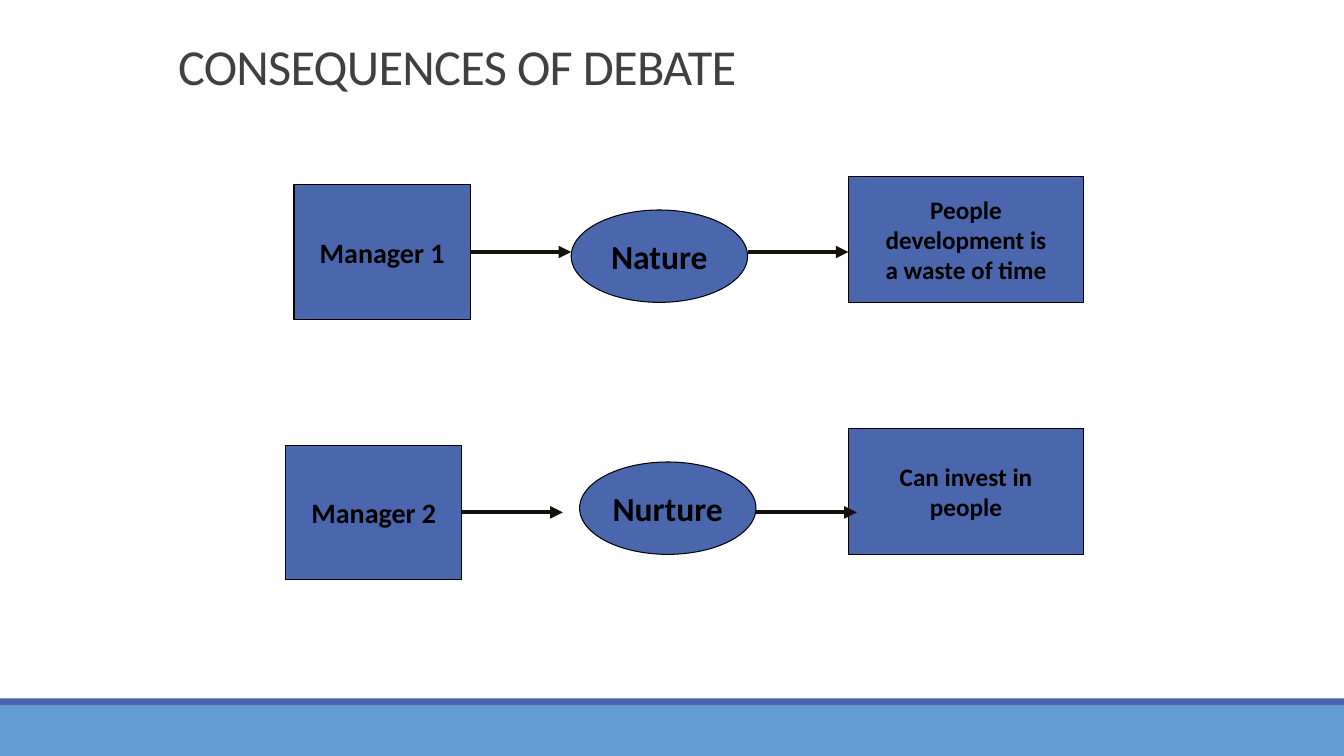
from typing import NamedTuple

from lxml.etree import SubElement
from pptx import Presentation
from pptx.dml.color import RGBColor
from pptx.enum.shapes import MSO_CONNECTOR, MSO_SHAPE
from pptx.enum.text import MSO_ANCHOR, MSO_AUTO_SIZE, PP_ALIGN
from pptx.oxml.ns import qn
from pptx.util import Pt

EMU_PER_PX = 9525
BLUE = "4A66AC"
LIGHT_BLUE = "629DD1"
BLACK = "000000"
ARROW_COLOUR = "17110B"
TITLE_COLOUR = "404040"


class Box(NamedTuple):
    left: int
    top: int
    width: int
    height: int


class Node(NamedTuple):
    text: str
    box: Box
    size: int
    kind: MSO_SHAPE = MSO_SHAPE.RECTANGLE


class Argument(NamedTuple):
    manager: Node
    belief: Node
    outcome: Node
    arrow_y: int


ARROW_LENGTH = 96
ARGUMENTS = [
    Argument(
        Node("Manager 1", Box(280, 176, 168, 128), 20),
        Node("Nature", Box(544, 200, 168, 88), 24, MSO_SHAPE.OVAL),
        Node("People\ndevelopment is\na waste of time", Box(808, 168, 224, 120), 18),
        240,
    ),
    Argument(
        Node("Manager 2", Box(272, 424, 168, 128), 20),
        Node("Nurture", Box(552, 440, 168, 88), 24, MSO_SHAPE.OVAL),
        Node("Can invest in\npeople", Box(808, 408, 224, 120), 18),
        488,
    ),
]
BANDS = [(Box(0, 672, 1280, 48), LIGHT_BLUE), (Box(0, 665, 1280, 7), BLUE)]


def px(length: int) -> int:
    return length * EMU_PER_PX


def colour(value: str) -> RGBColor:
    return RGBColor.from_string(value)


def write(shape, text: str, *, size: int, color: str = BLACK, bold: bool = False,
          align=PP_ALIGN.CENTER, anchor=MSO_ANCHOR.MIDDLE, wrap: bool = False,
          line_spacing: float = 1.0) -> None:
    frame = shape.text_frame
    frame.text = text
    frame.auto_size = MSO_AUTO_SIZE.NONE
    frame.word_wrap = wrap
    frame.vertical_anchor = anchor
    for paragraph in frame.paragraphs:
        paragraph.alignment = align
        paragraph.line_spacing = line_spacing
        for run in paragraph.runs:
            run.font.name = "Calibri"
            run.font.size = Pt(size)
            run.font.bold = bold
            run.font.color.rgb = colour(color)


def add_block(slide, box: Box, fill: str, kind=MSO_SHAPE.RECTANGLE):
    block = slide.shapes.add_shape(kind, *map(px, box))
    block.shadow.inherit = False
    block.fill.solid()
    block.fill.fore_color.rgb = colour(fill)
    block.line.fill.background()
    return block


def add_node(slide, node: Node):
    block = add_block(slide, node.box, BLUE, node.kind)
    block.line.color.rgb = colour(BLACK)
    block.line.width = Pt(0.75)
    write(block, node.text, size=node.size, bold=True)
    return block


def add_arrow(slide, source: Box, y: int):
    start = source.left + source.width
    arrow = slide.shapes.add_connector(
        MSO_CONNECTOR.STRAIGHT, px(start), px(y), px(start + ARROW_LENGTH), px(y))
    arrow.line.color.rgb = colour(ARROW_COLOUR)
    arrow.line.width = Pt(3)
    SubElement(arrow.line._get_or_add_ln(), qn("a:tailEnd"), type="triangle")
    SubElement(arrow._element.spPr, qn("a:effectLst"))
    return arrow


def add_title(slide, text: str, box: Box) -> None:
    title = slide.shapes.title
    title.left, title.top, title.width, title.height = map(px, box)
    write(title, text, size=36, color=TITLE_COLOUR, align=PP_ALIGN.LEFT,
          anchor=MSO_ANCHOR.BOTTOM, wrap=True, line_spacing=0.85)
    paragraph = title.text_frame.paragraphs[0]
    hanging = px(34)
    properties = paragraph._p.get_or_add_pPr()
    properties.set("marL", str(hanging))
    properties.set("indent", str(-hanging))
    paragraph.runs[0].font._element.set("spc", "-50")


def add_argument(slide, argument: Argument) -> None:
    manager = add_node(slide, argument.manager)
    add_node(slide, argument.belief)
    add_node(slide, argument.outcome)
    to_belief = add_arrow(slide, argument.manager.box, argument.arrow_y)
    to_belief.begin_connect(manager, 3)
    add_arrow(slide, argument.belief.box, argument.arrow_y)


def main() -> None:
    deck = Presentation()
    deck.slide_width, deck.slide_height = px(1280), px(720)
    slide = deck.slides.add_slide(deck.slide_layouts[5])
    for box, fill in BANDS:
        add_block(slide, box, fill)
    add_title(slide, "CONSEQUENCES OF DEBATE", Box(160, 29, 784, 67))
    for argument in ARGUMENTS:
        add_argument(slide, argument)
    deck.save("out.pptx")


if __name__ == "__main__":
    main()
